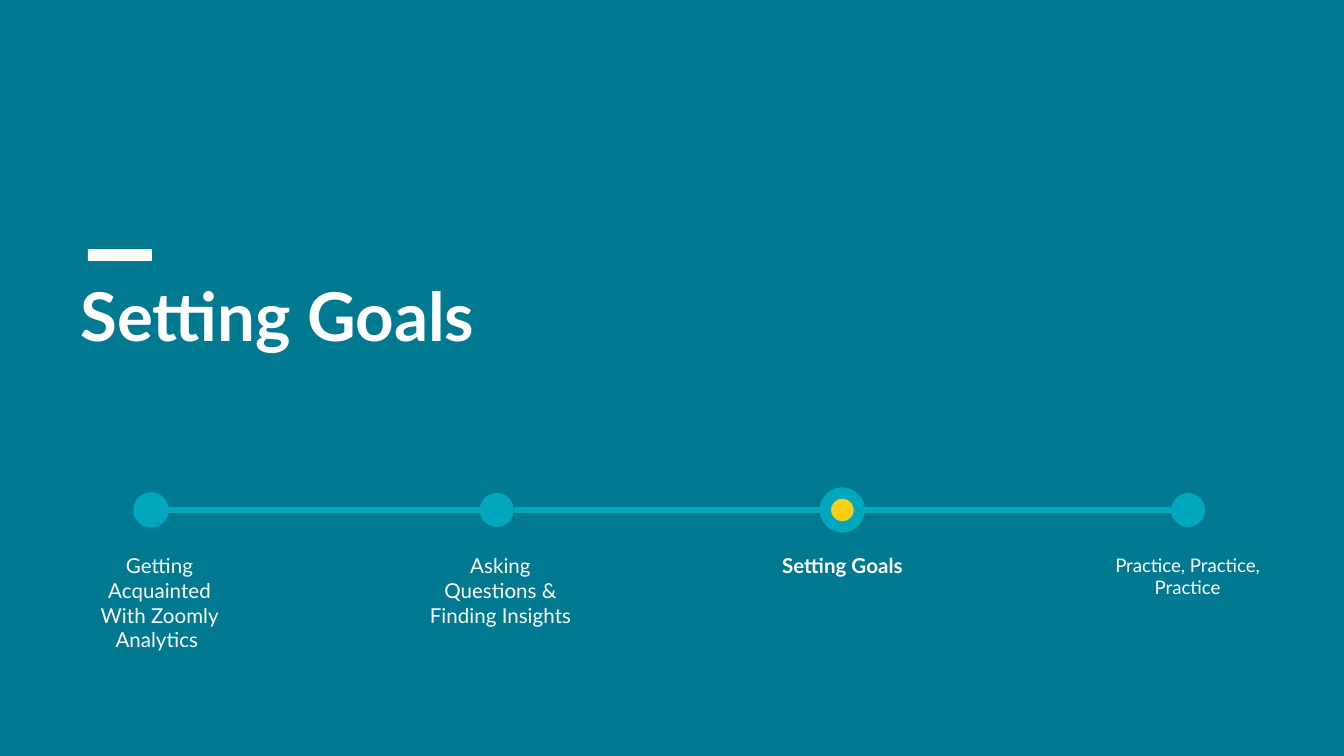
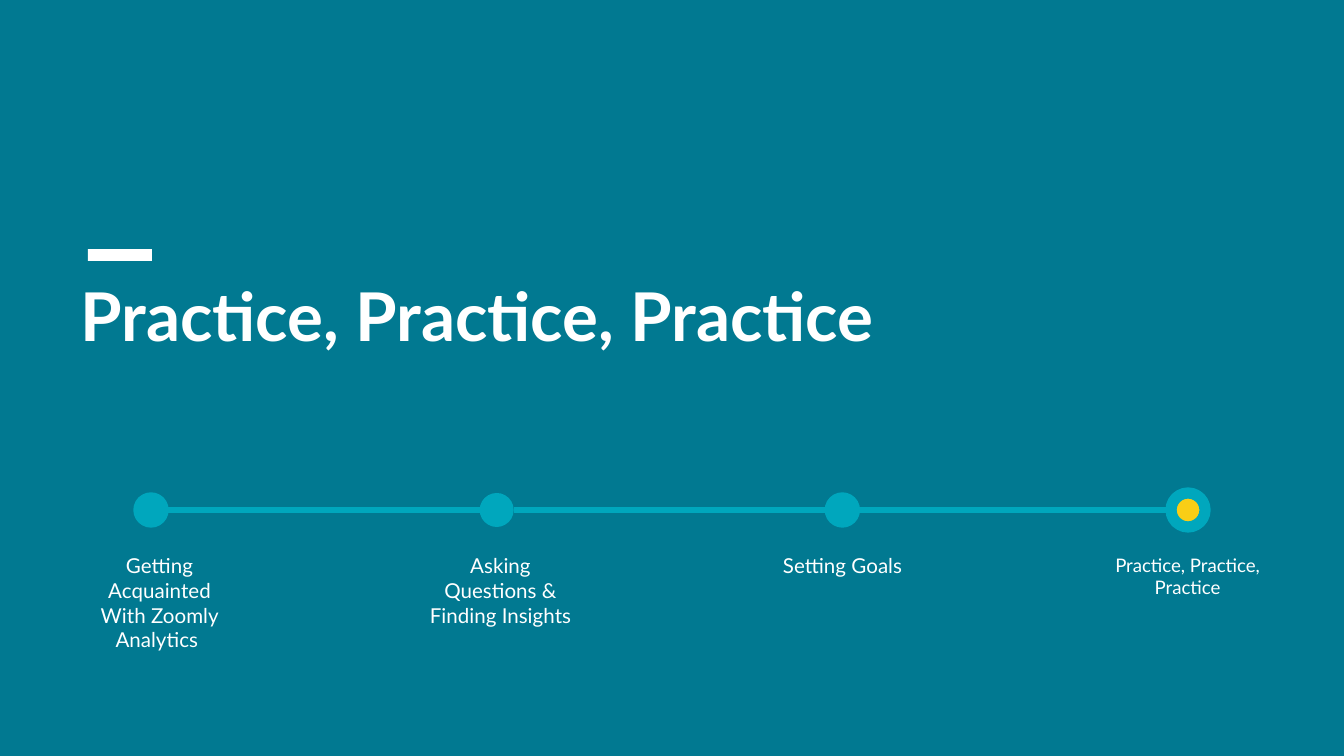
from dataclasses import dataclass
from itertools import pairwise

from lxml import etree
from pptx import Presentation
from pptx import util as u
from pptx.dml.color import RGBColor
from pptx.enum import shapes, text
from pptx.oxml.ns import qn

STEPS = [
    {"label": "Getting Acquainted With Zoomly Analytics ", "left": 70, "size": 11, "outlined": True},
    {"label": "Asking Questions & Finding Insights", "left": 411, "size": 11, "outlined": False},
    {"label": "Setting Goals", "left": 753, "size": 11, "outlined": True},
    {"label": "Practice, Practice, Practice", "left": 1098, "size": 10, "outlined": False},
]
SECTIONS = [
    {"title": "Setting Goals", "current": 2, "bold_label": True},
    {"title": "Practice, Practice, Practice", "current": 3, "bold_label": False},
]

SLIDE_W, SLIDE_H = 1344, 756
TITLE_BOX = (67, 261, 1110, 234)
ACCENT_BAR = (88, 249, 64, 12)
DOT_FIRST, DOT_LAST, DOT_TOP, DOT_SIZE = 134, 1171, 493, 34
LABEL_TOP, LABEL_W, LABEL_H = 540, 179, 134


@dataclass(frozen=True)
class Theme:
    font: str = "Lato"
    background: str = "017991"
    ink: str = "FFFFFF"
    track: str = "00A7BD"
    highlight: str = "F9CE16"
    title_size: int = 36
    label_space_after: int = 16
    track_width: float = 3
    outline_width: float = 0.75
    ring_width: float = 6


THEME = Theme()


def px(value):
    return u.Emu(round(value * 914400 / 134.4))


def rgb(color):
    return RGBColor.from_string(color)


def write(sp, content, size, bold, align):
    tf = sp.text_frame
    tf.word_wrap = True
    tf.auto_size = text.MSO_AUTO_SIZE.NONE
    tf.vertical_anchor = text.MSO_ANCHOR.TOP
    tf.margin_left = tf.margin_right = tf.margin_top = tf.margin_bottom = u.Inches(0.1)
    p = tf.paragraphs[0]
    p.alignment = align
    r = p.add_run()
    r.text = content
    r.font.name = THEME.font
    r.font.size = u.Pt(size)
    r.font.bold = bold
    r.font.color.rgb = rgb(THEME.ink)
    return p


def add_shape(s, kind, box, fill, line_width=0):
    sp = s.shapes.add_shape(kind, *map(px, box))
    sp.shadow.inherit = False
    sp.fill.solid()
    sp.fill.fore_color.rgb = rgb(fill)
    if line_width:
        sp.line.color.rgb = rgb(THEME.track)
        sp.line.width = u.Pt(line_width)
    else:
        sp.line.fill.background()


def add_title(s, content):
    add_shape(s, shapes.MSO_SHAPE.RECTANGLE, ACCENT_BAR, THEME.ink)
    title = s.shapes.title
    title.left, title.top, title.width, title.height = map(px, TITLE_BOX)
    write(title, content, THEME.title_size, True, text.PP_ALIGN.LEFT)


def add_timeline(s, current, bold_label):
    pitch = (DOT_LAST - DOT_FIRST) / (len(STEPS) - 1)
    dots = [DOT_FIRST + i * pitch for i in range(len(STEPS))]
    for i, (step, x) in enumerate(zip(STEPS, dots)):
        active = i == current
        width = THEME.ring_width if active else THEME.outline_width * step["outlined"]
        add_shape(s, shapes.MSO_SHAPE.OVAL, (x, DOT_TOP, DOT_SIZE, DOT_SIZE),
                  THEME.highlight if active else THEME.track, width)
        label = s.shapes.add_textbox(*map(px, (step["left"], LABEL_TOP, LABEL_W, LABEL_H)))
        p = write(label, step["label"], step["size"], active and bold_label, text.PP_ALIGN.CENTER)
        p.space_after = u.Pt(THEME.label_space_after)
    y = px(DOT_TOP + DOT_SIZE / 2)
    for x, following in pairwise(dots):
        link = s.shapes.add_connector(shapes.MSO_CONNECTOR.STRAIGHT,
                                      px(x + DOT_SIZE), y, px(following), y)
        link.line.color.rgb = rgb(THEME.track)
        link.line.width = u.Pt(THEME.track_width)
        etree.SubElement(link._element.spPr, qn("a:effectLst"))


def main():
    prs = Presentation()
    prs.slide_width, prs.slide_height = px(SLIDE_W), px(SLIDE_H)
    layout = prs.slide_layouts.get_by_name("Title Only")
    layout.background.fill.solid()
    layout.background.fill.fore_color.rgb = rgb(THEME.background)
    for section in SECTIONS:
        s = prs.slides.add_slide(layout)
        add_title(s, section["title"])
        add_timeline(s, section["current"], section["bold_label"])
    prs.save("out.pptx")


if __name__ == "__main__":
    main()
